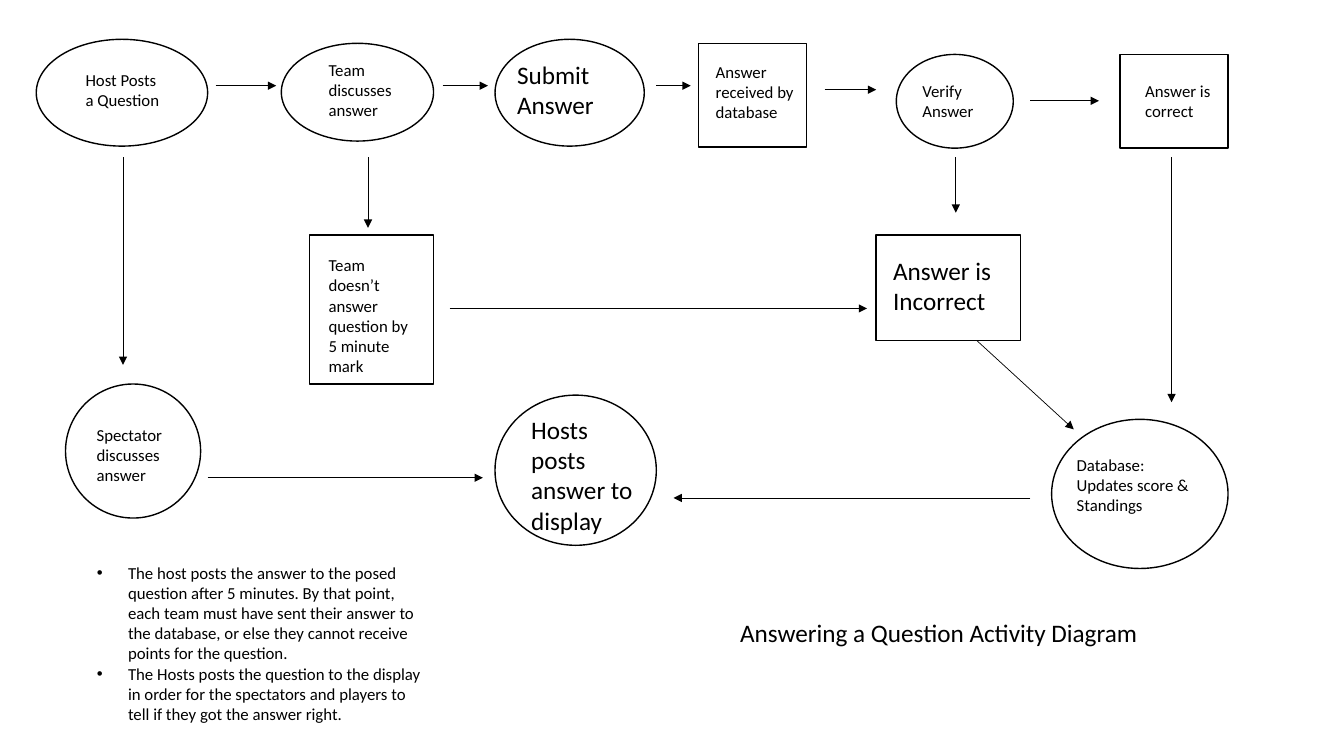
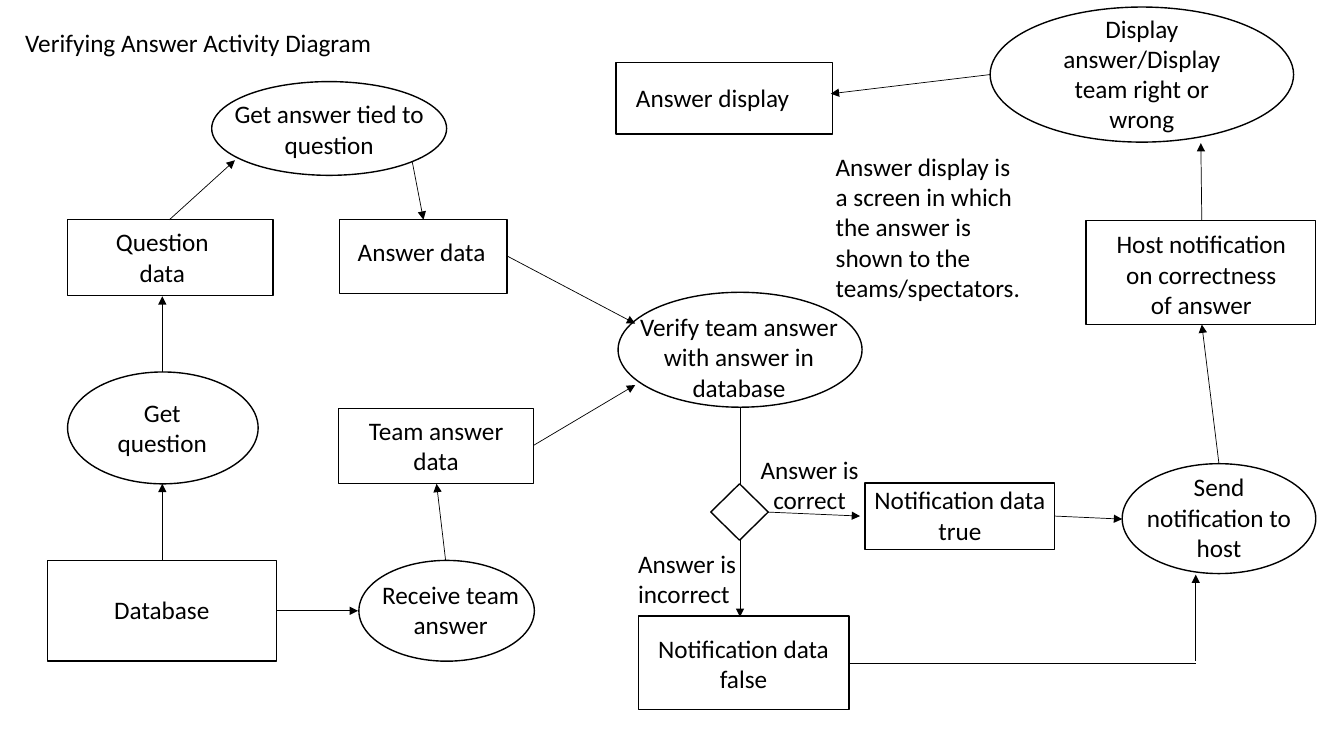
from pptx import Presentation, util as u
from pptx.dml.color import RGBColor
from pptx.enum import shapes, text
from pptx.oxml import ns
from lxml import etree

PX = 9144
FONT, INK, PAPER = "Calibri", "000000", "FFFFFF"
LEFT, MID = text.PP_ALIGN.LEFT, text.PP_ALIGN.CENTER
OVAL = shapes.MSO_SHAPE.OVAL
RECT = shapes.MSO_SHAPE.RECTANGLE
GEM = shapes.MSO_SHAPE.DIAMOND

ASK = {
    "title": ("Answering a Question Activity Diagram", (724, 607, 472, 40)),
    "list": ([
        "The host posts the answer to the posed question after 5 minutes. By that point, "
        "each team must have sent their answer to the database, or else they cannot "
        "receive points for the question.",
        "The Hosts posts the question to the display in order for the spectators and "
        "players to tell if they got the answer right.",
    ], (86, 553, 344, 172)),
    "nodes": [
        (OVAL, (36, 39, 170, 106)),
        (OVAL, (279, 43, 151, 97)),
        (OVAL, (491, 39, 148, 106)),
        (RECT, (693, 43, 107, 103)),
        (OVAL, (889, 54, 116, 93)),
        (RECT, (1111, 54, 107, 93)),
        (OVAL, (65, 381, 134, 133)),
        (RECT, (307, 233, 123, 148)),
        (RECT, (869, 233, 143, 105)),
        (OVAL, (1043, 416, 175, 148)),
        (OVAL, (491, 392, 160, 149)),
    ],
    "labels": [
        ("Host Posts a Question", (75, 64, 96, 50), 12, LEFT),
        ("Team discusses answer", (316, 54, 92, 71), 12, LEFT),
        ("Submit\nAnswer", (503, 54, 111, 71), 18, LEFT),
        ("Answer received by database", (700, 56, 107, 71), 12, LEFT),
        ("Verify Answer", (905, 75, 79, 50), 12, LEFT),
        ("Answer is correct", (1126, 75, 101, 50), 12, LEFT),
        ("Spectator discusses answer", (86, 416, 100, 71), 12, LEFT),
        ("Team doesn’t answer question by 5 minute mark", (316, 248, 105, 131), 12, LEFT),
        ("Answer is\nIncorrect", (876, 248, 129, 71), 18, LEFT),
        ("Database:\nUpdates score & Standings", (1058, 446, 148, 71), 12, LEFT),
        ("Hosts posts answer to display", (517, 406, 124, 131), 18, LEFT),
    ],
    "arrows": [
        (214, 85, 274, 85), (439, 85, 484, 85), (651, 85, 685, 85),
        (818, 89, 869, 89), (1022, 100, 1090, 100), (122, 156, 122, 362),
        (365, 156, 365, 226), (948, 156, 948, 211), (446, 306, 860, 306),
        (969, 338, 1065, 426), (1162, 156, 1162, 399), (206, 474, 479, 474),
        (1022, 494, 668, 494),
    ],
    "lines": [],
}

CHECK = {
    "title": ("Verifying Answer Activity Diagram", (15, 22, 369, 40)),
    "list": None,
    "nodes": [
        (RECT, (47, 556, 227, 100)),
        (OVAL, (67, 369, 189, 111)),
        (RECT, (67, 218, 204, 75)),
        (OVAL, (210, 81, 233, 93)),
        (RECT, (337, 218, 166, 73)),
        (OVAL, (356, 556, 174, 100)),
        (RECT, (336, 405, 193, 75)),
        (OVAL, (613, 290, 242, 114)),
        (GEM, (705, 480, 57, 56)),
        (RECT, (858, 479, 188, 66)),
        (RECT, (633, 611, 209, 93)),
        (OVAL, (1113, 460, 192, 109)),
        (RECT, (1077, 219, 228, 103)),
        (OVAL, (982, 7, 301, 134)),
        (RECT, (611, 62, 215, 71)),
    ],
    "labels": [
        ("Database", (55, 585, 211, 40), 18, MID),
        ("Get question", (96, 389, 130, 71), 18, MID),
        ("Question data", (89, 220, 144, 71), 18, MID),
        ("Get answer tied to question", (218, 93, 217, 71), 18, MID),
        ("Answer data", (345, 230, 150, 40), 18, LEFT),
        ("Receive team answer", (364, 570, 166, 71), 18, MID),
        ("Team answer data", (348, 407, 169, 71), 18, MID),
        ("Verify team answer with answer in database", (611, 304, 244, 101), 18, MID),
        ("Notification data true", (853, 476, 198, 71), 18, MID),
        ("Notification data false", (641, 623, 193, 71), 18, MID),
        ("Send notification to host", (1125, 463, 168, 101), 18, MID),
        ("Host notification on correctness of answer", (1095, 222, 193, 101), 18, MID),
        ("Display answer/Display team right or wrong", (1025, 8, 215, 131), 18, MID),
        ("Answer display", (621, 77, 196, 40), 18, LEFT),
        ("Answer display is a screen in which the answer is shown to the teams/spectators.",
         (819, 145, 210, 162), 18, LEFT),
        ("Answer is correct", (726, 446, 154, 71), 18, MID),
        ("Answer is incorrect", (623, 539, 125, 71), 18, LEFT),
    ],
    "arrows": [
        (161, 556, 161, 480), (161, 369, 161, 294), (168, 218, 233, 159),
        (409, 161, 420, 218), (275, 606, 355, 606), (442, 556, 433, 480),
        (529, 442, 630, 382), (503, 254, 630, 321), (761, 508, 853, 512),
        (734, 536, 734, 612), (1186, 656, 1186, 570), (1209, 460, 1192, 322),
        (1192, 219, 1191, 142), (982, 74, 824, 93), (1046, 512, 1113, 515),
    ],
    "lines": [(734, 405, 734, 480), (842, 658, 1186, 658)],
}


def tint(code):
    return RGBColor.from_string(code)


def emu(box):
    return [n * PX for n in box]


def move(shape, box):
    shape.left, shape.top, shape.width, shape.height = emu(box)


def write(shape, paras, size, align):
    frame = shape.text_frame
    frame.word_wrap = True
    frame.auto_size = text.MSO_AUTO_SIZE.SHAPE_TO_FIT_TEXT
    frame.vertical_anchor = text.MSO_ANCHOR.TOP
    for i, line in enumerate(paras):
        para = frame.add_paragraph() if i else frame.paragraphs[0]
        para.alignment = align
        para.space_before = u.Pt(0)
        run = para.add_run()
        run.text = line
        run.font.name = FONT
        run.font.size = u.Pt(size)
        run.font.color.rgb = tint(INK)


def bullet(shape):
    for para in shape.text_frame.paragraphs:
        props = para._p.get_or_add_pPr()
        props.set("marL", str(31 * PX))
        props.set("indent", str(-31 * PX))
        etree.SubElement(props, ns.qn("a:buChar")).set("char", "•")


def node(slide, kind, box):
    shape = slide.shapes.add_shape(kind, *emu(box))
    shape.shadow.inherit = False
    shape.fill.solid()
    shape.fill.fore_color.rgb = tint(PAPER)
    shape.line.color.rgb = tint(INK)
    shape.line.width = u.Pt(1)


def link(slide, ends, head):
    line = slide.shapes.add_connector(shapes.MSO_CONNECTOR.STRAIGHT, *emu(ends))
    line.line.color.rgb = tint(INK)
    line.line.width = u.Pt(0.5)
    props = line._element.spPr
    if head:
        stroke = props.find(ns.qn("a:ln"))
        etree.SubElement(stroke, ns.qn("a:tailEnd")).set("type", "triangle")
    etree.SubElement(props, ns.qn("a:effectLst"))


def build(deck, page):
    slide = deck.slides.add_slide(deck.slide_layouts[1 if page["list"] else 5])
    name, box = page["title"]
    move(slide.shapes.title, box)
    write(slide.shapes.title, [name], 18, LEFT)
    if page["list"]:
        items, box = page["list"]
        body = slide.placeholders[1]
        move(body, box)
        write(body, items, 12, LEFT)
        bullet(body)
    for kind, box in page["nodes"]:
        node(slide, kind, box)
    for words, box, size, align in page["labels"]:
        label = slide.shapes.add_textbox(*emu(box))
        write(label, words.split("\n"), size, align)
    for ends in page["arrows"]:
        link(slide, ends, True)
    for ends in page["lines"]:
        link(slide, ends, False)


def main():
    deck = Presentation()
    deck.slide_width, deck.slide_height = emu((1333, 750))
    for page in (ASK, CHECK):
        build(deck, page)
    deck.save("out.pptx")


if __name__ == "__main__":
    main()
